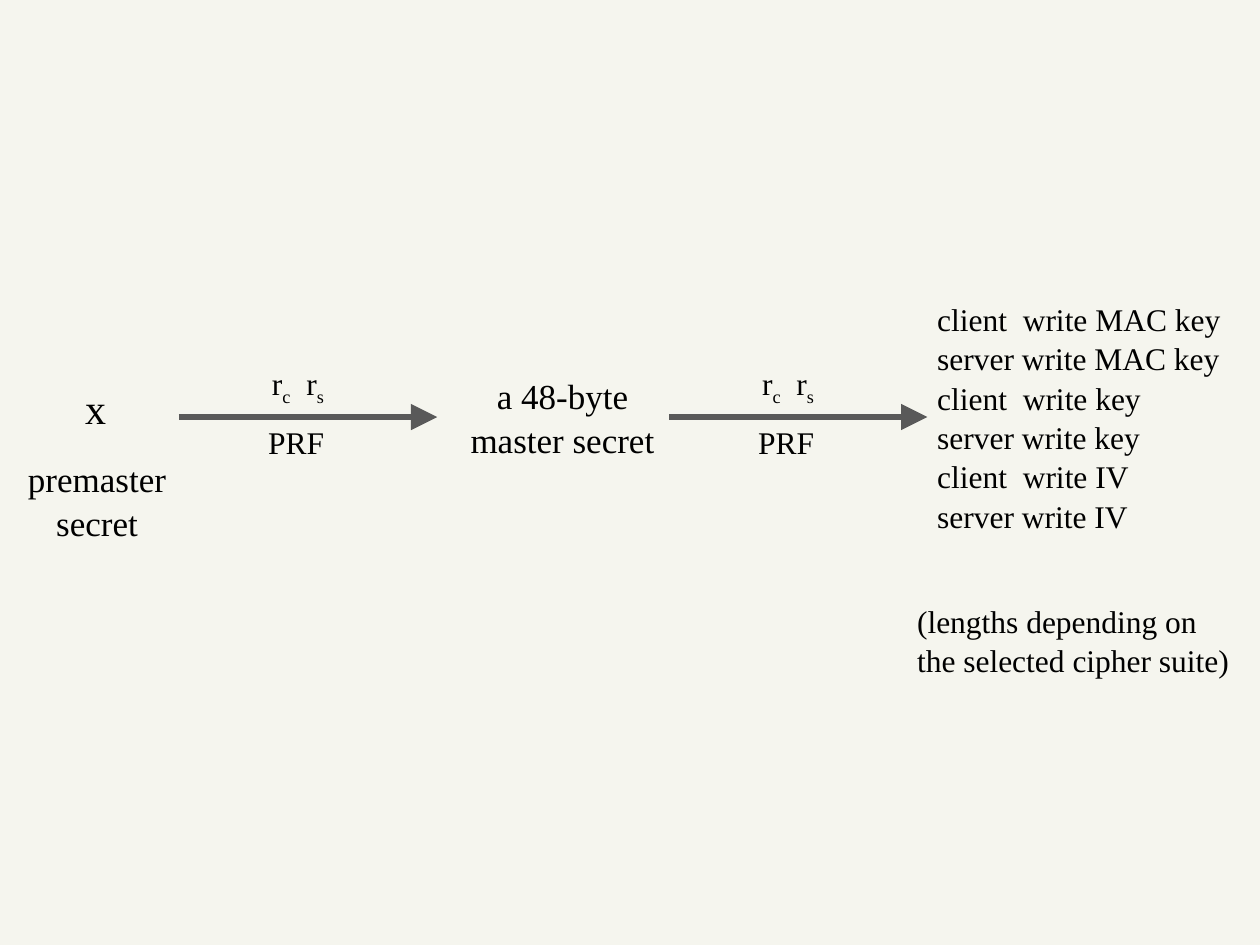
from dataclasses import dataclass
from typing import Any

from lxml.etree import SubElement
from pptx import Presentation
from pptx.dml.color import RGBColor
from pptx.enum.shapes import MSO_CONNECTOR as Connector
from pptx.enum.text import MSO_ANCHOR as Anchor, PP_ALIGN as Align
from pptx.oxml.ns import qn
from pptx.util import Inches, Pt

CELL = 0.1
ARROW_ROW = 33.1
KEYS = [
    "client  write MAC key",
    "server write MAC key",
    "client  write key",
    "server write key",
    "client  write IV",
    "server write IV",
]


def color(value):
    """Turn a hex string into a colour."""
    return RGBColor.from_string(value)


def cells(count):
    """Turn a number of grid cells into a length."""
    return Inches(count * CELL)


@dataclass
class Diagram:
    """Draw styled elements on one slide, placed on a 100 by 75 grid."""

    slide: Any
    font: str = "Times New Roman"
    ink: str = "000000"
    arrow_ink: str = "595959"
    paper: str = "F5F5EE"
    line_spacing: float = 1.04

    def background(self):
        """Fill the slide with the paper colour."""
        fill = self.slide.background.fill
        fill.solid()
        fill.fore_color.rgb = color(self.paper)

    def run(self, paragraph, text, size, subscript=False):
        """Add one styled run."""
        run = paragraph.add_run()
        run.text = text
        run.font.name = self.font
        run.font.size = Pt(size)
        run.font.color.rgb = color(self.ink)
        if subscript:
            run.font._element.set("baseline", "-25000")

    def text(self, box, paragraphs, size=18, align=Align.CENTER):
        """Add a text box; each paragraph is a list of lines of (text, subscript) runs."""
        shape = self.slide.shapes.add_textbox(*map(cells, box))
        frame = shape.text_frame
        frame.word_wrap = True
        frame.vertical_anchor = Anchor.MIDDLE
        frame.margin_left = frame.margin_right = cells(1)
        frame.margin_top = frame.margin_bottom = cells(1)
        for index, lines in enumerate(paragraphs):
            paragraph = frame.add_paragraph() if index else frame.paragraphs[0]
            paragraph.alignment = align
            paragraph.line_spacing = self.line_spacing
            for number, line in enumerate(lines):
                if number:
                    paragraph.add_line_break()
                for text, subscript in line:
                    self.run(paragraph, text, size, subscript)

    def label(self, box, *lines, size=18, align=Align.CENTER):
        """Add one plain paragraph with line breaks between its lines."""
        self.text(box, [[[(line, False)] for line in lines]], size, align)

    def arrow(self, left, row, width):
        """Add a horizontal arrow pointing right."""
        ends = map(cells, (left, row, left + width, row))
        connector = self.slide.shapes.add_connector(Connector.STRAIGHT, *ends)
        connector.line.color.rgb = color(self.arrow_ink)
        connector.line.width = Pt(3)
        SubElement(connector.line._get_or_add_ln(), qn("a:tailEnd"),
                   type="triangle", w="lg", len="lg")
        SubElement(connector._element.spPr, qn("a:effectLst"))

    def derivation(self, left):
        """Add an arrow with the nonces above it and the function below it."""
        self.arrow(left, ARROW_ROW, 20.5)
        nonces = [("r", False), ("c", True), ("  r", False), ("s", True)]
        self.text((left + 5.1, 28, 8.7, 5), [[nonces]])
        self.label((left + 5.3, ARROW_ROW, 8, 3.9), "PRF")


def main():
    """Build the key derivation slide."""
    presentation = Presentation()
    presentation.slide_width, presentation.slide_height = cells(100), cells(75)
    diagram = Diagram(presentation.slides.add_slide(presentation.slide_layouts[6]))
    diagram.background()
    diagram.label((3.6, 28.9, 8, 6.7), "x", size=24)
    diagram.label((-0.9, 36.1, 17.2, 7.1), "premaster", "secret", size=20)
    diagram.label((35.5, 28.5, 18.3, 9.1), "a 48-byte", "master secret", size=20)
    for left in (14.2, 53.1):
        diagram.derivation(left)
    diagram.text((73.4, 19.5, 25.6, 27.1), [[[(key, False)]] for key in KEYS],
                 align=Align.LEFT)
    diagram.label((71.8, 46.6, 27.2, 8.3),
                  "(lengths depending on the selected cipher suite)", align=Align.LEFT)
    presentation.save("out.pptx")


if __name__ == "__main__":
    main()
